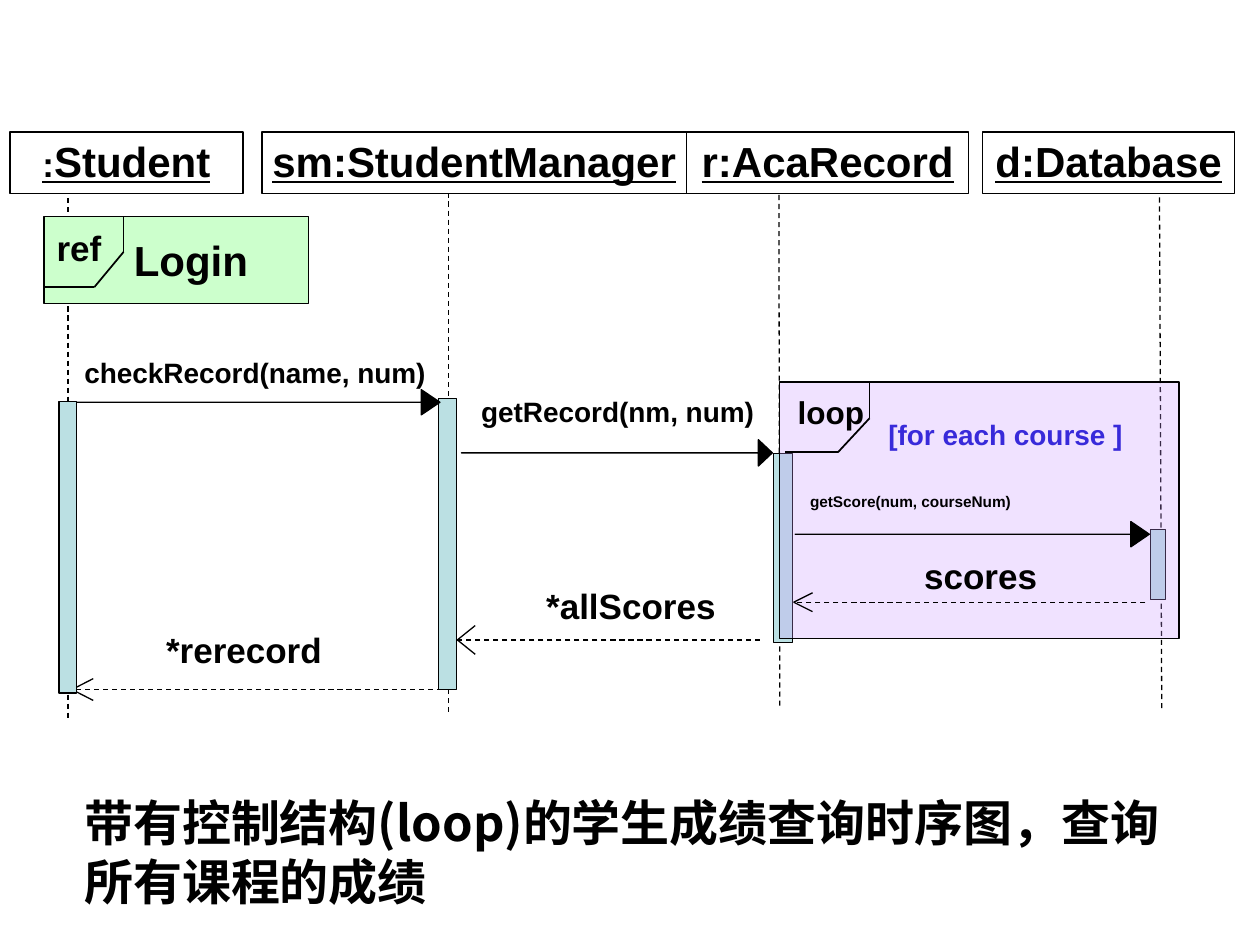
from itertools import pairwise

from lxml import etree
from pptx import Presentation
from pptx.dml.color import RGBColor
from pptx.enum.dml import MSO_LINE
from pptx.enum.shapes import MSO_CONNECTOR, MSO_SHAPE
from pptx.enum.text import MSO_ANCHOR, PP_ALIGN
from pptx.oxml.ns import qn
from pptx.util import Cm, Pt

RECT, ARROW = MSO_SHAPE.RECTANGLE, MSO_SHAPE.RIGHT_ARROW
STRAIGHT, DASH = MSO_CONNECTOR.STRAIGHT, MSO_LINE.DASH
TOP, MIDDLE = MSO_ANCHOR.TOP, MSO_ANCHOR.MIDDLE
LEFT, CENTER, JUSTIFY = PP_ALIGN.LEFT, PP_ALIGN.CENTER, PP_ALIGN.JUSTIFY

THEME = {
    "font": "Arial", "title_font": "Noto Sans CJK SC",
    "ink": "000000", "paper": "FFFFFF", "guard": "0000CC",
    "bar": "BBE0E3", "ref": "CCFFCC", "loop": "CC99FF",
    "title": 28, "title_line": 33.5, "head": 24, "large": 20,
    "mid": 18, "call": 16, "small": 8.8, "line": 0.75, "tab_line": 1,
}

HEADERS = [
    ([(":", "large"), ("Student", "head")], 0.2, 4.7),
    ([("sm:StudentManager", "head")], 5.28, 8.56),
    ([("r:AcaRecord", "head")], 13.84, 5.69),
    ([("d:Database", "head")], 19.81, 5.08),
]
HEAD_TOP, HEAD_HEIGHT = 2.66, 1.24
LIFELINES = [
    (1.37, 3.63, 1.37, 14.5), (9.04, 2.97, 9.04, 14.43),
    (15.7, 3.02, 15.72, 14.3), (23.37, 3.07, 23.42, 14.35),
]
STUDENT_BAR = (1.19, 8.1, 0.36, 5.87)
BARS = [(8.84, 8.03, 0.36, 5.87), (15.6, 9.14, 0.38, 3.81), (23.19, 10.67, 0.3, 1.42)]

FRAMES = [
    {"box": (0.89, 4.37, 5.33, 1.75), "fill": "ref", "alpha": 100,
     "label": ("ref", (1.14, 4.57, 1.37, 0.84), "large"),
     "tab": [(2.49, 4.37), (2.49, 5.08), (1.9, 5.79), (0.89, 5.79)],
     "body": [("Login", "head")]},
    {"box": (15.72, 7.7, 8.05, 5.18), "fill": "loop", "alpha": 28,
     "label": ("loop", (16.08, 7.92, 1.5, 0.76), "mid"),
     "tab": [(17.53, 7.72), (17.53, 8.43), (16.89, 9.12), (15.82, 9.12)],
     "body": []},
]
CALLS = [
    (1.55, 8.11, 7.32, 0.51, 0.74),
    (9.3, 9.13, 6.27, 0.53, 0.53),
    (16.03, 10.77, 7.14, 0.51, 0.73),
]
RETURNS = [
    (15.32, 9.22, 12.9, 0.36, 0.29),
    (9.09, 1.45, 13.9, 0.43, 0.22),
    (23.09, 16, 12.14, 0.38, 0.19),
]
GUARD = ("[for each course ]", (17.91, 8.41, 4.88, 0.79), "call", JUSTIFY)
LABELS = [
    ("checkRecord(name, num)", (1.7, 7.16, 6.99, 0.74), "call", JUSTIFY),
    ("getRecord(nm, num)", (9.7, 7.95, 5.54, 0.94), "call", JUSTIFY),
    ("getScore(num, courseNum)", (16.33, 9.93, 6.96, 0.41), "small", JUSTIFY),
    ("scores", (18.03, 11.18, 3.48, 0.84), "large", CENTER),
    ("*allScores", (10.74, 11.79, 3.96, 0.84), "large", CENTER),
    ("*rerecord", (2.9, 12.67, 4.04, 0.84), "large", CENTER),
]
TITLE = "带有控制结构(loop)的学生成绩查询时序图，查询所有课程的成绩"
TITLE_BOX = (1.45, 15.84, 22.86, 2.64)


def color(name):
    return RGBColor.from_string(THEME[name])


def assign(obj, values):
    for name, value in values.items():
        setattr(obj, name, value)


def write(sp, runs, align, anchor=TOP, insets=(0, 0, 0, 0), ink="ink", **font):
    tf = sp.text_frame
    sides = ("margin_left", "margin_top", "margin_right", "margin_bottom")
    assign(tf, {"word_wrap": True, "vertical_anchor": anchor})
    assign(tf, dict(zip(sides, map(Cm, insets))))
    p = tf.paragraphs[0]
    p.alignment = align
    for text, size in runs:
        r = p.add_run()
        r.text = text
        assign(r.font, {"name": THEME["font"], "size": Pt(THEME[size]), "bold": True, **font})
        r.font.color.rgb = color(ink)
    return p


def add_shape(s, kind, box, fill, alpha=100):
    sp = s.shapes.add_shape(kind, *map(Cm, box))
    sp.shadow.inherit = False
    sp.fill.solid()
    sp.fill.fore_color.rgb = color(fill)
    sp.line.color.rgb = color("ink")
    sp.line.width = Pt(THEME["line"])
    if alpha < 100:
        rgb = sp.fill._xPr.find(".//" + qn("a:srgbClr"))
        etree.SubElement(rgb, qn("a:alpha")).set("val", str(alpha * 1000))
    return sp


def add_line(s, ends, dash=None, width="line"):
    line = s.shapes.add_connector(STRAIGHT, *map(Cm, ends))
    line.line.color.rgb = color("ink")
    line.line.width = Pt(THEME[width])
    if dash:
        line.line.dash_style = dash
    etree.SubElement(line._element.spPr, qn("a:effectLst"))


def add_label(s, text, box, size, align, ink="ink"):
    write(s.shapes.add_textbox(*map(Cm, box)), [(text, size)], align, ink=ink)


def add_frame(s, frame):
    sp = add_shape(s, RECT, frame["box"], frame["fill"], frame["alpha"])
    if frame["body"]:
        write(sp, frame["body"], CENTER, MIDDLE, (0.74, 0.08, 0.15, 0.08))
    add_label(s, *frame["label"], JUSTIFY)
    for start, end in pairwise(frame["tab"]):
        add_line(s, start + end, width="tab_line")


def add_call(s, left, y, width, height, head):
    sp = add_shape(s, ARROW, (left, y - height / 2, width, height), "ink")
    sp.adjustments[0] = 0
    sp.adjustments[1] = head


def add_return(s, start, tip, y, dx, dy):
    add_line(s, (start, y, tip, y), DASH)
    for side in (-dy, dy):
        add_line(s, (tip + dx, y + side, tip, y))


def add_title(s):
    sp = s.shapes.add_textbox(*map(Cm, TITLE_BOX))
    p = write(sp, [(TITLE, "title")], LEFT, MIDDLE, (0.25, 0.13, 0.25, 0.13),
              name=THEME["title_font"])
    p.line_spacing = Pt(THEME["title_line"])
    ea = etree.SubElement(p.runs[0].font._element, qn("a:ea"))
    ea.set("typeface", THEME["title_font"])


def main():
    prs = Presentation()
    assign(prs, {"slide_width": Cm(25.4), "slide_height": Cm(19.05)})
    s = prs.slides.add_slide(prs.slide_layouts[6])
    for ends in LIFELINES:
        add_line(s, ends, DASH)
    for runs, left, width in HEADERS:
        sp = add_shape(s, RECT, (left, HEAD_TOP, width, HEAD_HEIGHT), "paper")
        write(sp, runs, CENTER, MIDDLE, (0.15, 0.08, 0.15, 0.15), underline=True)
    for bar in BARS:
        add_shape(s, RECT, bar, "bar")
    add_label(s, *GUARD, ink="guard")
    for frame in FRAMES:
        add_frame(s, frame)
    for call in CALLS:
        add_call(s, *call)
    for reply in RETURNS:
        add_return(s, *reply)
    for label in LABELS:
        add_label(s, *label)
    add_shape(s, RECT, STUDENT_BAR, "bar")
    add_title(s)
    prs.save("out.pptx")


if __name__ == "__main__":
    main()
